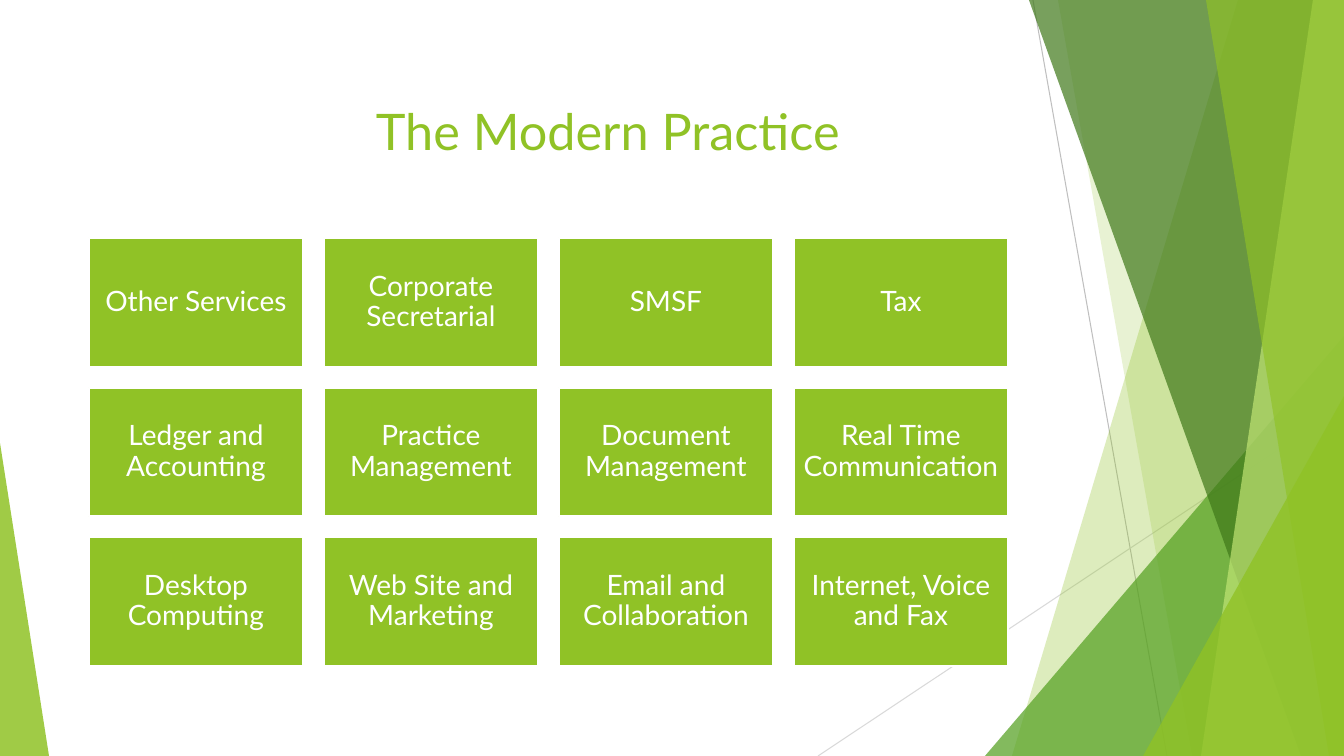
from lxml.etree import SubElement
from pptx import Presentation
from pptx.dml.color import RGBColor
from pptx.enum.shapes import MSO_CONNECTOR, MSO_SHAPE
from pptx.enum.text import MSO_ANCHOR, PP_ALIGN
from pptx.oxml.ns import qn
from pptx.util import Pt

SLIDE_W, SLIDE_H = 1344, 756
SCALE = 12192000 / SLIDE_W
FONT = "Lato"

LIME = RGBColor(0x90, 0xC2, 0x26)
PALE_LIME = RGBColor(0xC0, 0xE4, 0x74)
GREEN = RGBColor(0x54, 0xA0, 0x21)
DARK_GREEN = RGBColor(0x3F, 0x78, 0x19)
GREY = RGBColor(0xBF, 0xBF, 0xBF)
PALE_GREY = RGBColor(0xD9, 0xD9, 0xD9)
WHITE = RGBColor(0xFF, 0xFF, 0xFF)

SERVICES = [
    ["Other Services", "Corporate Secretarial", "SMSF", "Tax"],
    ["Ledger and Accounting", "Practice Management",
     "Document Management", "Real Time Communication"],
    ["Desktop Computing", "Web Site and Marketing",
     "Email and Collaboration", "Internet, Voice and Fax"],
]


def px(*lengths):
    return [round(length * SCALE) for length in lengths]


def tint(shape, colour, opacity):
    """Fill without outline or shadow; opacity is in percent."""
    shape.shadow.inherit = False
    shape.fill.solid()
    shape.fill.fore_color.rgb = colour
    shape.line.fill.background()
    colour_tag = shape.fill._xPr.find(".//" + qn("a:srgbClr"))
    SubElement(colour_tag, qn("a:alpha")).set("val", str(opacity * 1000))


def add_hairline(slide, start, end, colour):
    hairline = slide.shapes.add_connector(
        MSO_CONNECTOR.STRAIGHT, *px(*start, *end))
    hairline.line.color.rgb = colour
    hairline.line.width = Pt(0.75)
    SubElement(hairline._element.spPr, qn("a:effectLst"))


def add_beam(slide, box, top_inset, bottom_inset, colour, opacity):
    """Full-height band with a slanted left edge, flush with the box's right."""
    left, top, width, height = box
    right, bottom = left + width, top + height
    outline = slide.shapes.build_freeform(left + top_inset, top, scale=SCALE)
    outline.add_line_segments(
        [(right, top), (right, bottom), (left + bottom_inset, bottom)])
    tint(outline.convert_to_shape(), colour, opacity)


def add_corner(slide, box, apex, colour, opacity):
    """Right triangle whose apex is at the left (0) or right (1) of its box."""
    corner = slide.shapes.add_shape(MSO_SHAPE.ISOSCELES_TRIANGLE, *px(*box))
    corner.adjustments[0] = apex
    tint(corner, colour, opacity)


def add_facets(slide, box):
    left, top, width, height = box
    right, bottom = left + width, top + height
    add_hairline(slide, (left + 48, top), (left + 182, bottom), GREY)
    add_hairline(slide, (right, top + 406), (left - 167, bottom), PALE_GREY)
    add_beam(slide, box, 253, 27, LIME, 30)
    add_beam(slide, box, 73, 207, LIME, 20)
    add_corner(slide, (left, bottom - 420, width, 420), 1, GREEN, 72)
    add_beam(slide, box, 44, 316, DARK_GREEN, 70)
    add_beam(slide, box, 328, 216, PALE_LIME, 70)
    add_beam(slide, box, 221, 344, LIME, 65)
    add_corner(slide, (right - 201, bottom - 360, 201, 360), 1, LIME, 80)


def write(frame, text, size, colour):
    frame.word_wrap = True
    paragraph = frame.paragraphs[0]
    paragraph.text = text
    paragraph.font.name = FONT
    paragraph.font.size = Pt(size)
    paragraph.font.color.rgb = colour
    return paragraph


def add_title(slide, box):
    frame = slide.shapes.add_textbox(*px(*box)).text_frame
    frame.vertical_anchor = MSO_ANCHOR.TOP
    write(frame, "The Modern Practice", 36, LIME)


def add_service(slide, box, name):
    tile = slide.shapes.add_shape(MSO_SHAPE.RECTANGLE, *px(*box))
    tile.shadow.inherit = False
    tile.fill.solid()
    tile.fill.fore_color.rgb = LIME
    tile.line.color.rgb = WHITE
    tile.line.width = Pt(1.5)
    frame = tile.text_frame
    frame.vertical_anchor = MSO_ANCHOR.MIDDLE
    inset, = px(8)
    frame.margin_left = frame.margin_right = inset
    frame.margin_top = frame.margin_bottom = inset
    label = write(frame, name, 20, WHITE)
    label.alignment = PP_ALIGN.CENTER
    label.line_spacing = 0.9


def add_service_grid(slide, box, gap=21):
    left, top, width, height = box
    rows, columns = len(SERVICES), len(SERVICES[0])
    tile_w = (width - gap * (columns - 1)) / columns
    tile_h = (height - gap * (rows - 1)) / rows
    for row, names in enumerate(SERVICES):
        for column, name in enumerate(names):
            tile_box = (left + column * (tile_w + gap),
                        top + row * (tile_h + gap), tile_w, tile_h)
            add_service(slide, tile_box, name)


def main():
    deck = Presentation()
    deck.slide_width, deck.slide_height = px(SLIDE_W, SLIDE_H)
    slide = deck.slides.add_slide(deck.slide_layouts[6])
    add_facets(slide, (985, 0, 359, SLIDE_H))
    add_corner(slide, (0, 443, 49, 313), 0, LIME, 85)
    add_title(slide, (366, 95, 656, 90))
    add_service_grid(slide, (89, 238, 919, 428))
    deck.save("out.pptx")


if __name__ == "__main__":
    main()
